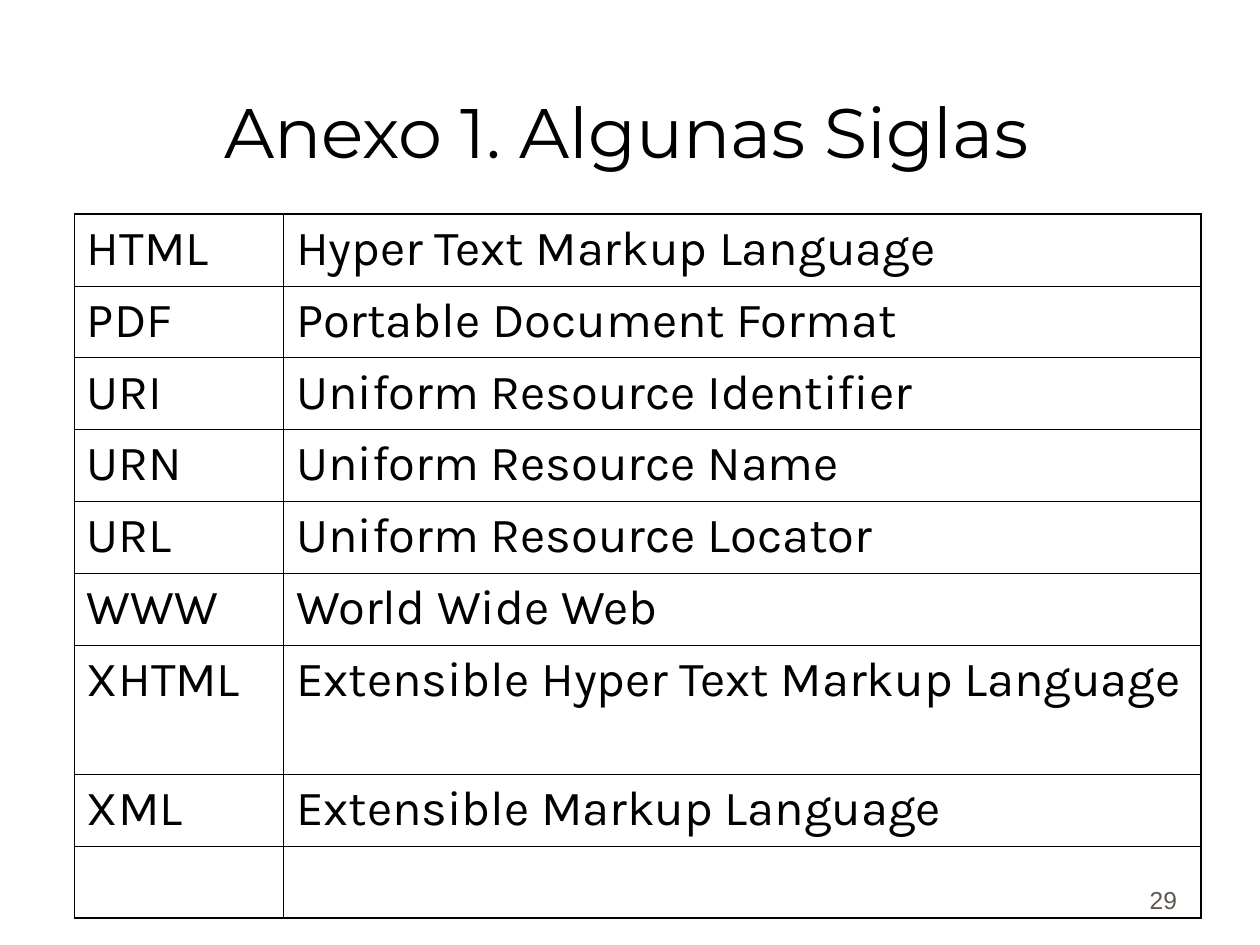
import pptx
import pptx.util
import pptx.dml.color
import pptx.enum.text
from lxml import etree

Inches, Pt = pptx.util.Inches, pptx.util.Pt
ALIGN, ANCHOR = pptx.enum.text.PP_ALIGN, pptx.enum.text.MSO_ANCHOR
NS = "http://schemas.openxmlformats.org/drawingml/2006/main"


def style(font, name, size, color="000000"):
    font.name = name
    font.size = Pt(size)
    font.bold = False
    font.color.rgb = pptx.dml.color.RGBColor.from_string(color)


def border(cell, side, width):
    props = cell._tc.get_or_add_tcPr()
    line = etree.SubElement(props, f"{{{NS}}}ln{side}", w=str(int(Pt(width))))
    fill = etree.SubElement(line, f"{{{NS}}}solidFill")
    etree.SubElement(fill, f"{{{NS}}}srgbClr", val="000000")


deck = pptx.Presentation()
deck.slide_width, deck.slide_height = Inches(10), Inches(7.5)
slide = deck.slides.add_slide(deck.slide_layouts[5])

# Title
title = slide.shapes.title
title.left, title.top = Inches(0.44), Inches(0.25)
title.width, title.height = Inches(9.06), Inches(1.17)
frame = title.text_frame
frame.text = "Anexo 1. Algunas Siglas"
frame.vertical_anchor = ANCHOR.BOTTOM
para = frame.paragraphs[0]
para.alignment = ALIGN.CENTER
style(para.runs[0].font, "Montserrat", 40)

# Page number
page = slide.shapes.add_textbox(Inches(7.36), Inches(6.81), Inches(2.08), Inches(0.5))
frame = page.text_frame
frame.word_wrap = True
frame.vertical_anchor = ANCHOR.BOTTOM
frame.text = "29"
para = frame.paragraphs[0]
para.alignment = ALIGN.RIGHT
style(para.runs[0].font, "Arial", 14, "5E574E")

# Table of acronyms, closed by an empty row
terms = [
    ("HTML", "Hyper Text Markup Language"),
    ("PDF", "Portable Document Format"),
    ("URI", "Uniform Resource Identifier"),
    ("URN", "Uniform Resource Name"),
    ("URL", "Uniform Resource Locator"),
    ("WWW", "World Wide Web"),
    ("XHTML", "Extensible Hyper Text Markup Language"),
    ("XML", "Extensible Markup Language"),
    ("", ""),
]
last = len(terms) - 1
table = slide.shapes.add_table(
    len(terms), 2, Inches(0.59), Inches(1.7), Inches(8.94), Inches(5.59)
).table
table.first_row = table.horz_banding = False
table.columns[0].width, table.columns[1].width = Inches(1.66), Inches(7.28)

for row, pair in enumerate(terms):
    table.rows[row].height = Inches(1.03 if pair[0] == "XHTML" else 0.57)
    for col, text in enumerate(pair):
        cell = table.cell(row, col)
        cell.margin_left = cell.margin_right = Inches(0.1)
        cell.margin_top = cell.margin_bottom = Inches(0.05)
        # Outer edges are thicker than the inner grid
        outer = {"L": col == 0, "R": col == 1, "T": row == 0, "B": row == last}
        for side, thick in outer.items():
            border(cell, side, 1.08 if thick else 0.45)
        cell.fill.background()
        cell.text_frame.text = text
        para = cell.text_frame.paragraphs[0]
        for item in [para, *para.runs]:
            style(item.font, "Karla", 28)

deck.save("out.pptx")
